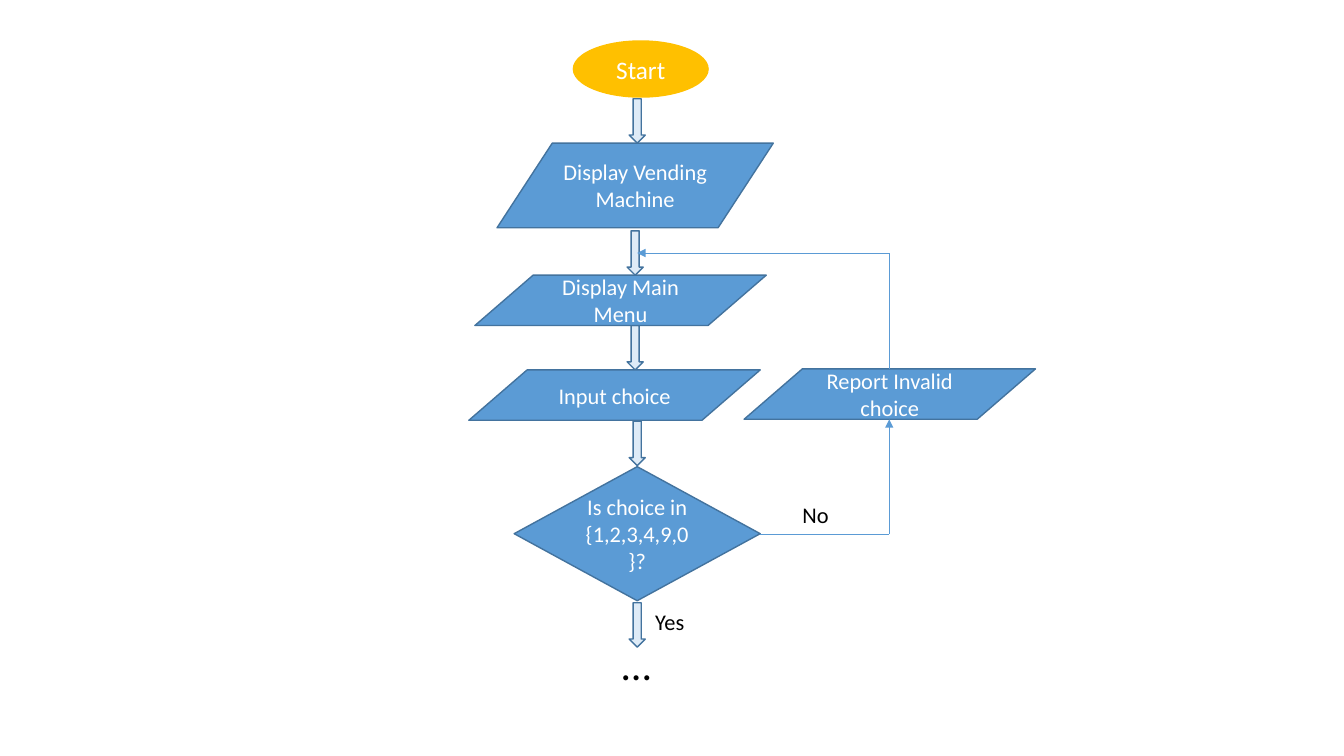
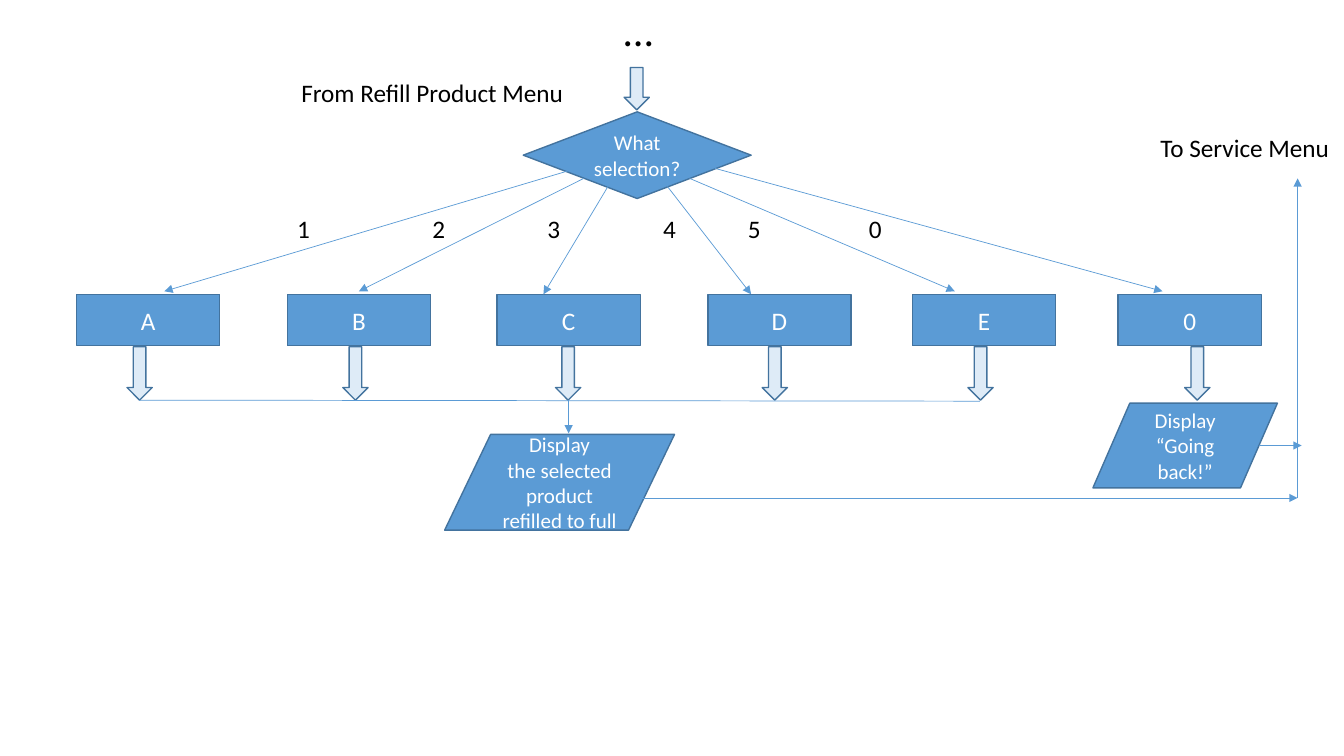
from dataclasses import dataclass
from lxml import etree
from pptx import Presentation, util as u
from pptx.dml.color import RGBColor
from pptx.enum import shapes, text
from pptx.oxml import ns

S = shapes.MSO_SHAPE


# Colours, font and type sizes
@dataclass(frozen=True)
class Theme:
    blue: str = "5B9BD5"
    edge: str = "43739E"
    pale: str = "DEEBF7"
    gold: str = "FFC000"
    white: str = "FFFFFF"
    black: str = "000000"
    font: str = "Calibri"
    small: int = 15
    step: int = 16
    body: int = 18
    dots: int = 30


T = Theme()


class Chart:
    """Flowchart painter on a grid of 0.1 inch columns and rows."""

    def __init__(self):
        self.deck = Presentation()
        self.deck.slide_width = u.Inches(13.33)
        self.deck.slide_height = u.Inches(7.5)

    def page(self):
        self.slide = self.deck.slides.add_slide(self.deck.slide_layouts[6])

    def grid(self, *cells):
        return [u.Inches(cell / 10) for cell in cells]

    def letter(self, frame, words, size, tint, align, **form):
        for name, value in form.items():
            setattr(frame, name, value)
        frame.text = words
        style = {"name": T.font, "size": u.Pt(size)}
        for para in frame.paragraphs:
            para.alignment = align
            for run in para.runs:
                for name, value in style.items():
                    setattr(run.font, name, value)
                run.font.color.rgb = RGBColor.from_string(tint)

    def shape(self, kind, x, y, w, h, words="", size=T.step,
              fill=T.blue, edge=T.edge):
        item = self.slide.shapes.add_shape(kind, *self.grid(x, y, w, h))
        item.shadow.inherit = False
        item.fill.solid()
        item.fill.fore_color.rgb = RGBColor.from_string(fill)
        if edge:
            item.line.color.rgb = RGBColor.from_string(edge)
            item.line.width = u.Pt(1)
        else:
            item.line.fill.background()
        if words:
            self.letter(item.text_frame, words, size, T.white,
                        text.PP_ALIGN.CENTER, word_wrap=True,
                        vertical_anchor=text.MSO_ANCHOR.MIDDLE)

    def arrow(self, x, y, w, h):
        self.shape(S.DOWN_ARROW, x, y, w, h, fill=T.pale)

    def label(self, words, x, y, w, h=4, size=T.body):
        box = self.slide.shapes.add_textbox(*self.grid(x, y, w, h))
        self.letter(box.text_frame, words, size, T.black,
                    text.PP_ALIGN.LEFT, word_wrap=True,
                    auto_size=text.MSO_AUTO_SIZE.SHAPE_TO_FIT_TEXT)

    def line(self, start, end, head=True):
        link = self.slide.shapes.add_connector(
            shapes.MSO_CONNECTOR.STRAIGHT, *self.grid(*start, *end))
        link.line.color.rgb = RGBColor.from_string(T.blue)
        link.line.width = u.Pt(0.5)
        form = link.element.spPr
        if head:
            etree.SubElement(form.get_or_add_ln(), ns.qn("a:tailEnd"),
                             type="triangle")
        etree.SubElement(form, ns.qn("a:effectLst"))


flow = Chart()

# Slide 1: main menu and check of the choice
flow.page()
for left, top in [(62.4, 9.8), (62.2, 22.9), (62.2, 32.3),
                  (62.4, 41.8), (62.4, 59.8)]:
    flow.arrow(left, top, 1.6, 4.4)

flow.shape(S.OVAL, 56.8, 4, 13.5, 5.7, "Start", T.body, T.gold, None)
flow.shape(S.FLOWCHART_DATA, 49.3, 14.2, 27.4, 8.4, "Display Vending Machine")
for words, left, top in [("Display Main Menu", 47.1, 27.3),
                         ("Input choice", 46.5, 36.7),
                         ("Report Invalid choice", 73.8, 36.6)]:
    flow.shape(S.FLOWCHART_DATA, left, top, 28.9, 5, words)
flow.shape(S.FLOWCHART_DECISION, 51, 46.3, 24.4, 13.3,
           "Is choice in {1,2,3,4,9,0}?")

# Way back to the menu
turn = 88.2
flow.line((75.4, 53), (turn, 53), head=False)
flow.line((turn, 53), (turn, 41.6))
flow.line((turn, 36.6), (turn, 25.1), head=False)
flow.line((turn, 25.1), (63.2, 25.1))

flow.label("No", 78.6, 49.2, 5.5, 3.7, T.step)
flow.label("Yes", 64, 59.8, 5.4, 3.7, T.step)
flow.label("…", 60.7, 62.9, 5.8, 6.1, T.dots)

# Slide 2: refill choices
flow.page()
flow.label("…", 60.9, 0, 7.5, 6.1, T.dots)
flow.arrow(61.9, 6.7, 2.5, 4.2)
flow.label("From Refill Product Menu", 28.9, 7.2, 28.3)
flow.label("To Service Menu", 114.1, 12.6, 19.2)
flow.shape(S.FLOWCHART_DECISION, 51.9, 11.1, 22.6, 8.6,
           "What selection?", T.small)

# Each choice: name, box, arrow, key, key place, line start and end
picks = [
    ("A", 7.6, 12.6, "1", 28.5, (57.2, 16.7), (16.3, 28.9)),
    ("B", 28.5, 34, "2", 41.9, (57.9, 17.7), (35.6, 28.9)),
    ("C", 49.3, 55.1, "3", 53.3, (60.3, 18.5), (53.9, 29.2)),
    ("D", 70.2, 75.6, "4", 64.8, (66.2, 18.5), (74.5, 29.2)),
    ("E", 90.5, 96, "5", 73.2, (68.4, 17.7), (94.7, 28.9)),
    ("0", 110.9, 117.5, "0", 85.2, (70.9, 16.7), (115.3, 28.9)),
]
for name, left, stem, key, spot, start, end in picks:
    flow.shape(S.FLOWCHART_PROCESS, left, 29.2, 14.2, 5.1, name, T.body)
    flow.arrow(stem, 34.4, 2.5, 5.3)
    flow.label(key, spot, 20.7, 3.3)
    flow.line(start, end)

# Results and way out
flow.shape(S.FLOWCHART_DATA, 44.1, 43.1, 22.8, 9.5,
           "Display\nthe selected product refilled to full", T.small)
flow.shape(S.FLOWCHART_DATA, 108.4, 40, 18.3, 8.4,
           "Display “Going back!”", T.small)
flow.line((13.8, 39.7), (97.2, 39.8), head=False)
flow.line((56.4, 39.7), (56.4, 43))
flow.line((63.5, 49.4), (128.7, 49.4))
flow.line((124.9, 44.2), (129.1, 44.2))
flow.line((128.7, 49.4), (128.7, 17.7))

flow.deck.save("out.pptx")
